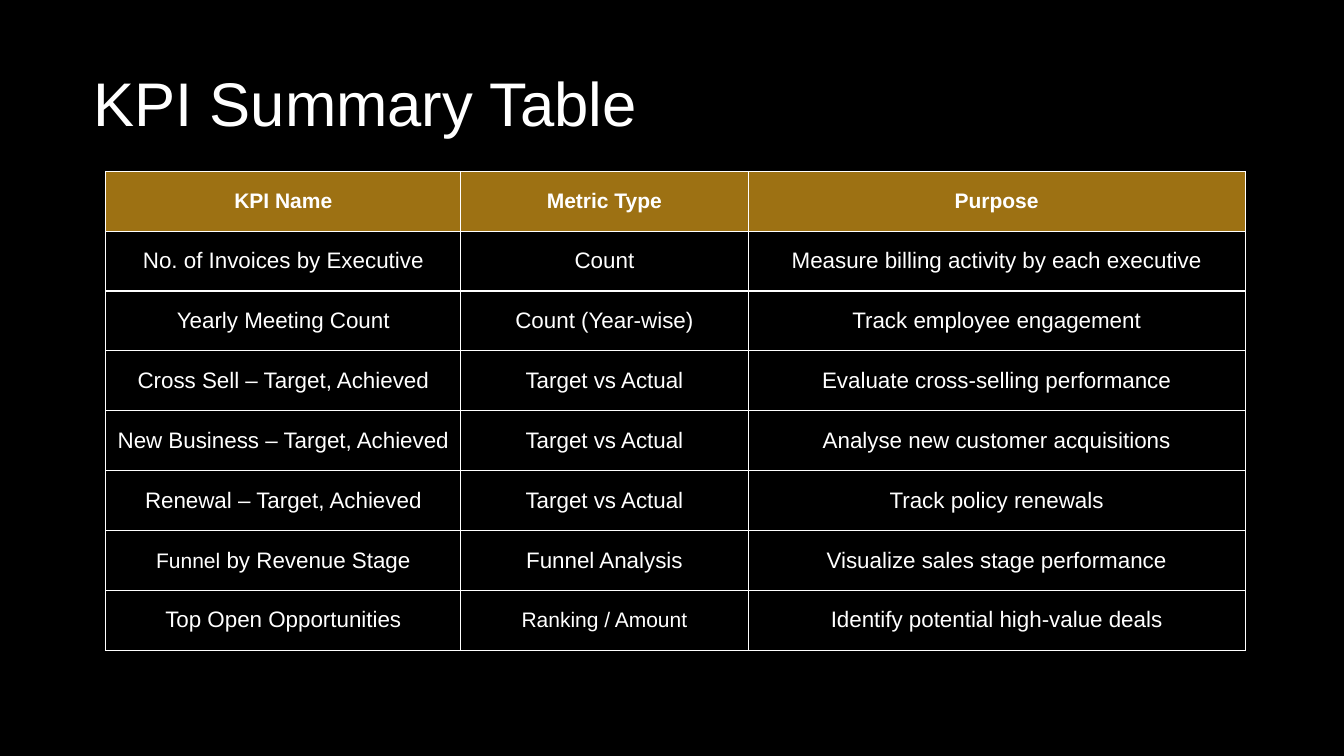
from lxml.etree import SubElement
from pptx import Presentation
from pptx.dml.color import RGBColor
from pptx.enum.text import MSO_ANCHOR, PP_ALIGN
from pptx.oxml.ns import qn
from pptx.util import Inches, Pt

BLACK = RGBColor(0x00, 0x00, 0x00)
WHITE = RGBColor(0xFF, 0xFF, 0xFF)
GOLD = RGBColor(0x9D, 0x71, 0x13)
FONT = "Arial"
SMALL, BODY = 15, 16
COL_WIDTHS = [3.52, 2.85, 4.93]
TABLE_HEIGHT = 4.75
HEADER = ["KPI Name", "Metric Type", "Purpose"]
KPIS = [
    ["No. of Invoices by Executive", "Count", "Measure billing activity by each executive"],
    ["Yearly Meeting Count", "Count (Year-wise)", "Track employee engagement"],
    ["Cross Sell – Target, Achieved", "Target vs Actual", "Evaluate cross-selling performance"],
    ["New Business – Target, Achieved", "Target vs Actual", "Analyse new customer acquisitions"],
    ["Renewal – Target, Achieved", "Target vs Actual", "Track policy renewals"],
    [("Funnel", " by Revenue Stage"), "Funnel Analysis", "Visualize sales stage performance"],
    ["Top Open Opportunities", "Ranking / Amount", "Identify potential high-value deals"],
]
SMALL_TEXTS = {"Funnel", "Ranking / Amount"}


def style_run(r, size, bold=False):
    """Give a run the slide's font in white."""
    r.font.name = FONT
    r.font.size = Pt(size)
    r.font.bold = bold
    r.font.color.rgb = WHITE


def add_title(s, text):
    """Add the slide title."""
    box = s.shapes.add_textbox(Inches(0.83), Inches(0.64), Inches(11.67), Inches(0.83))
    tf = box.text_frame
    tf.word_wrap = True
    tf.vertical_anchor = MSO_ANCHOR.MIDDLE
    p = tf.paragraphs[0]
    p.text = text
    p.line_spacing = 0.9
    style_run(p.runs[0], 44)


def add_borders(cell):
    """Draw a thin white line on all four sides of a cell."""
    tcPr = cell._tc.get_or_add_tcPr()
    for side in ("lnL", "lnR", "lnT", "lnB"):
        ln = SubElement(tcPr, qn(f"a:{side}"), w=str(Pt(1)))
        fill = SubElement(ln, qn("a:solidFill"))
        SubElement(fill, qn("a:srgbClr"), val=str(WHITE))


def fill_cell(cell, content, is_header):
    """Write and format one table cell."""
    add_borders(cell)
    if is_header:
        cell.fill.solid()
        cell.fill.fore_color.rgb = GOLD
    else:
        cell.fill.background()
    cell.vertical_anchor = MSO_ANCHOR.MIDDLE
    p = cell.text_frame.paragraphs[0]
    p.alignment = PP_ALIGN.CENTER
    for text in (content if isinstance(content, tuple) else (content,)):
        r = p.add_run()
        r.text = text
        size = SMALL if is_header or text in SMALL_TEXTS else BODY
        style_run(r, size, is_header)


def add_kpi_table(s):
    """Add the KPI table with a gold header row."""
    rows = [HEADER] + KPIS
    frame = s.shapes.add_table(len(rows), len(HEADER), Inches(1.05), Inches(1.7),
                               Inches(sum(COL_WIDTHS)), Inches(TABLE_HEIGHT))
    table = frame.table
    table.horz_banding = False
    for column, width in zip(table.columns, COL_WIDTHS):
        column.width = Inches(width)
    for i, row in enumerate(rows):
        for j, content in enumerate(row):
            fill_cell(table.cell(i, j), content, i == 0)


def main():
    """Build and save the slide."""
    prs = Presentation()
    prs.slide_width, prs.slide_height = Inches(13.33), Inches(7.5)
    s = prs.slides.add_slide(prs.slide_layouts[6])
    s.background.fill.solid()
    s.background.fill.fore_color.rgb = BLACK
    add_title(s, "KPI Summary Table")
    add_kpi_table(s)
    prs.save("out.pptx")


if __name__ == "__main__":
    main()
